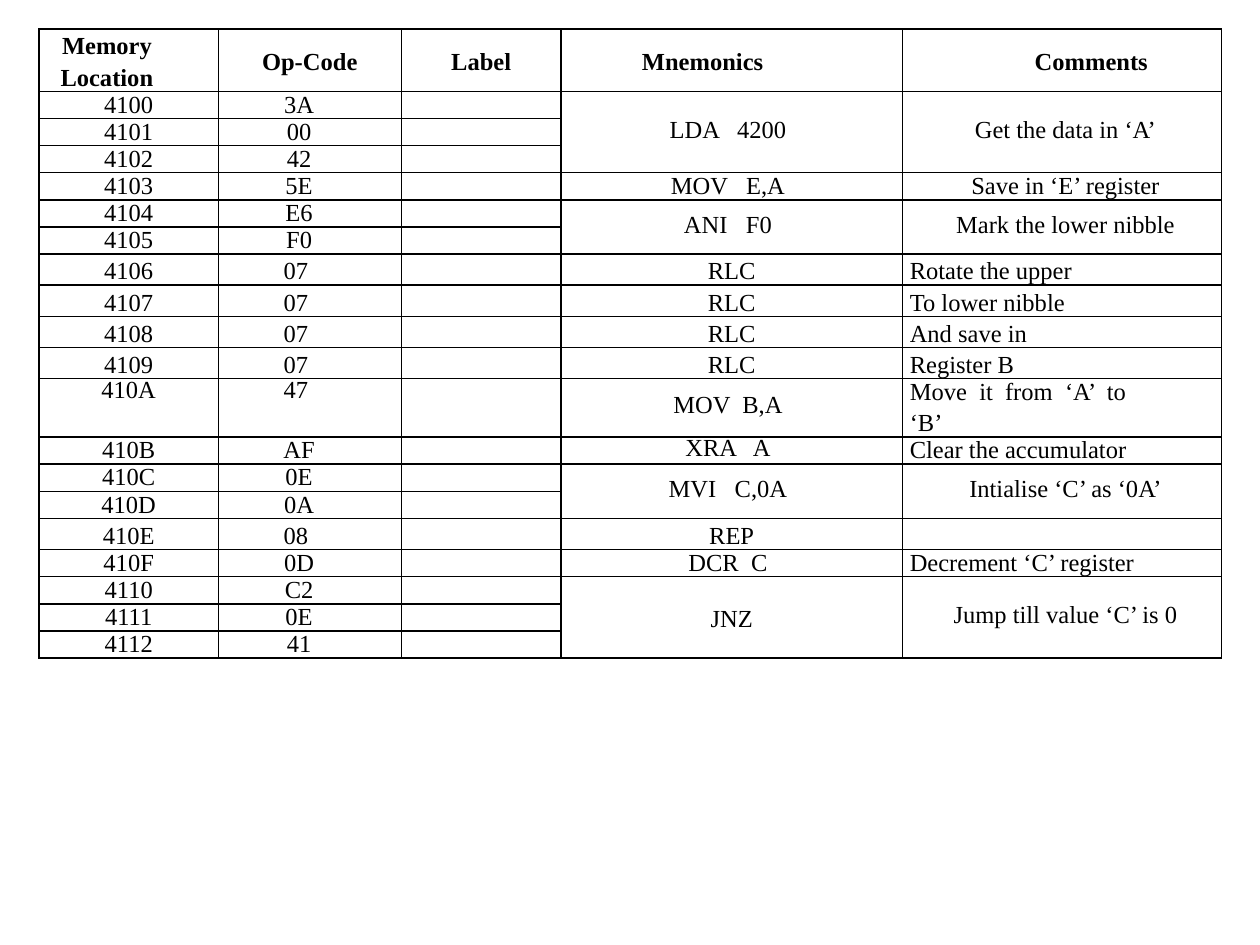
from dataclasses import dataclass

from pptx import Presentation, util as u
from pptx.dml.color import RGBColor
from pptx.enum import text
from pptx.oxml import parse_xml
from pptx.oxml.ns import nsdecls

COLORS = {"ink": "000000"}
FONT, SIZE = "Times New Roman", u.Pt(14)
TIGHT, LOOSE = u.Pt(13), 1.15
COLUMN_WIDTHS = [3.61, 2.77, 0.41, 0.51, 3.22, 6.88, 6.43, 0.15]
HEADER_HEIGHT, TIGHT_HEIGHT, LOOSE_HEIGHT = 0.63, 0.54, 0.62
LOCATION, CODE, CODE_MIDDLE, CODE_END, LABEL, MNEMONIC, COMMENT, EDGE = range(8)
FIRST_ADDRESS = 0x4100
MIDDLE, BOTTOM = text.MSO_ANCHOR.MIDDLE, text.MSO_ANCHOR.BOTTOM
CENTER, LEFT = text.PP_ALIGN.CENTER, text.PP_ALIGN.LEFT


@dataclass
class Instruction:
    codes: str
    mnemonic: str
    comment: str
    centered: bool = False
    loose: bool = False
    split_code: bool = False
    anchor: int = BOTTOM


PROGRAM = [
    Instruction("3A 00 42", "LDA   4200", "Get the data in ‘A’", centered=True, anchor=MIDDLE),
    Instruction("5E", "MOV   E,A", "Save in ‘E’ register", centered=True),
    Instruction("E6 F0", "ANI   F0", "Mark the lower nibble", centered=True, anchor=MIDDLE),
    *(Instruction("07", "RLC", comment, loose=True, split_code=True)
      for comment in ("Rotate the upper", "To lower nibble", "And save in", "Register B")),
    Instruction("47", "MOV  B,A", "Move  it  from  ‘A’  to\n‘B’", split_code=True, anchor=MIDDLE),
    Instruction("AF", "XRA   A", "Clear the accumulator", anchor=MIDDLE),
    Instruction("0E 0A", "MVI   C,0A", "Intialise ‘C’ as ‘0A’", centered=True, anchor=MIDDLE),
    Instruction("08", "REP", "", loose=True, split_code=True),
    Instruction("0D", "DCR  C", "Decrement ‘C’ register"),
    Instruction("C2 0E 41", "JNZ", "Jump till value ‘C’ is 0", centered=True, anchor=MIDDLE),
]


def row_count(step):
    return max(len(step.codes.split()), len(step.comment.split("\n")))


def write(cell, words, anchor=BOTTOM, align=CENTER, left=0, right=0, spacing=TIGHT, bold=False):
    """Fill a cell with one paragraph; left and right are margins in centimetres."""
    cell.vertical_anchor = anchor
    cell.margin_left, cell.margin_right = u.Cm(left), u.Cm(right)
    para = cell.text_frame.paragraphs[0]
    para.text = words
    para.alignment, para.line_spacing = align, spacing
    para.font.bold = bold


def prepare_cell(cell, sides):
    """Clear margins and fill, set the font, and rule only the given sides."""
    cell.margin_left = cell.margin_right = cell.margin_top = cell.margin_bottom = 0
    font = cell.text_frame.paragraphs[0].font
    font.name, font.size = FONT, SIZE
    font.color.rgb = RGBColor.from_string(COLORS["ink"])
    properties = cell._tc.get_or_add_tcPr()
    for side in "LRTB":
        paint = (f'<a:solidFill><a:srgbClr val="{COLORS["ink"]}"/></a:solidFill>'
                 if side in sides else "<a:noFill/>")
        properties.append(parse_xml(
            f'<a:ln{side} {nsdecls("a")} w="{u.Pt(1)}">{paint}</a:ln{side}>'))
    cell.fill.background()


def ruled_sides(column, opens_below, opens_above):
    if column == EDGE:
        return "L"
    sides = {CODE: "LTB", CODE_MIDDLE: "TB", CODE_END: "RTB"}.get(column, "LRTB")
    if opens_below:
        sides = sides.replace("B", "")
    return sides.replace("T", "") if opens_above else sides


def add_grid(slide, heights, open_rows):
    """Add the table; open_rows have no rule between them and the next row."""
    grid = slide.shapes.add_table(
        len(heights), len(COLUMN_WIDTHS), u.Cm(0.79), u.Cm(0.58),
        u.Cm(sum(COLUMN_WIDTHS)), u.Cm(sum(heights))).table
    grid.first_row = grid.horz_banding = False
    for column, width in zip(grid.columns, COLUMN_WIDTHS):
        column.width = u.Cm(width)
    for index, height in enumerate(heights):
        grid.rows[index].height = u.Cm(height)
        for column in range(len(COLUMN_WIDTHS)):
            sides = ruled_sides(column, index in open_rows, index - 1 in open_rows)
            prepare_cell(grid.cell(index, column), sides)
    return grid


def add_header(grid):
    write(grid.cell(0, LOCATION), "Memory", align=LEFT, left=0.46, spacing=LOOSE, bold=True)
    write(grid.cell(1, LOCATION), "Location", align=LEFT, left=0.43, bold=True)
    for column, last, words, left, right in (
            (CODE, CODE_END, "Op-Code", 0, 0), (LABEL, LABEL, "Label", 0, 0),
            (MNEMONIC, MNEMONIC, "Mnemonics", 0, 1.17), (COMMENT, COMMENT, "Comments", 1.19, 0)):
        cell = grid.cell(0, column)
        cell.merge(grid.cell(1, last))
        write(cell, words, MIDDLE, left=left, right=right, spacing=LOOSE, bold=True)


def add_instruction(grid, row, address, step):
    codes, comments = step.codes.split(), step.comment.split("\n")
    last = row + row_count(step) - 1
    two_lines = len(comments) > 1
    for offset, code in enumerate(codes):
        anchor = MIDDLE if two_lines else BOTTOM
        write(grid.cell(row + offset, LOCATION), f"{address + offset:X}", anchor)
        cell = grid.cell(row + offset, CODE)
        if not step.split_code:
            cell.merge(grid.cell(row + offset, CODE_MIDDLE))
        write(cell, code, anchor, left=0.36 if step.split_code else 0.08)
    mnemonic = grid.cell(row, MNEMONIC)
    if last > row:
        mnemonic.merge(grid.cell(last, MNEMONIC))
        if not two_lines:
            grid.cell(row, COMMENT).merge(grid.cell(last, COMMENT))
    one_word = " " not in step.mnemonic
    write(mnemonic, step.mnemonic, step.anchor, right=0 if one_word else 0.15,
          spacing=LOOSE if one_word else TIGHT)
    for offset, words in enumerate(comments):
        if words:
            write(grid.cell(row + offset, COMMENT), words,
                  MIDDLE if last > row and not two_lines else BOTTOM,
                  CENTER if step.centered else LEFT, left=0.15,
                  spacing=LOOSE if offset else TIGHT)


def main():
    deck = Presentation()
    deck.slide_width, deck.slide_height = u.Cm(25.4), u.Cm(19.05)
    slide = deck.slides.add_slide(deck.slide_layouts[6])

    heights, open_rows = [HEADER_HEIGHT] * 2, {0}
    for step in PROGRAM:
        if "\n" in step.comment:
            open_rows.add(len(heights))
            heights += [TIGHT_HEIGHT, LOOSE_HEIGHT]
        else:
            heights += [LOOSE_HEIGHT if step.loose else TIGHT_HEIGHT] * row_count(step)

    grid = add_grid(slide, heights, open_rows)
    add_header(grid)
    row, address = 2, FIRST_ADDRESS
    for step in PROGRAM:
        add_instruction(grid, row, address, step)
        row += row_count(step)
        address += len(step.codes.split())
    deck.save("out.pptx")


if __name__ == "__main__":
    main()
